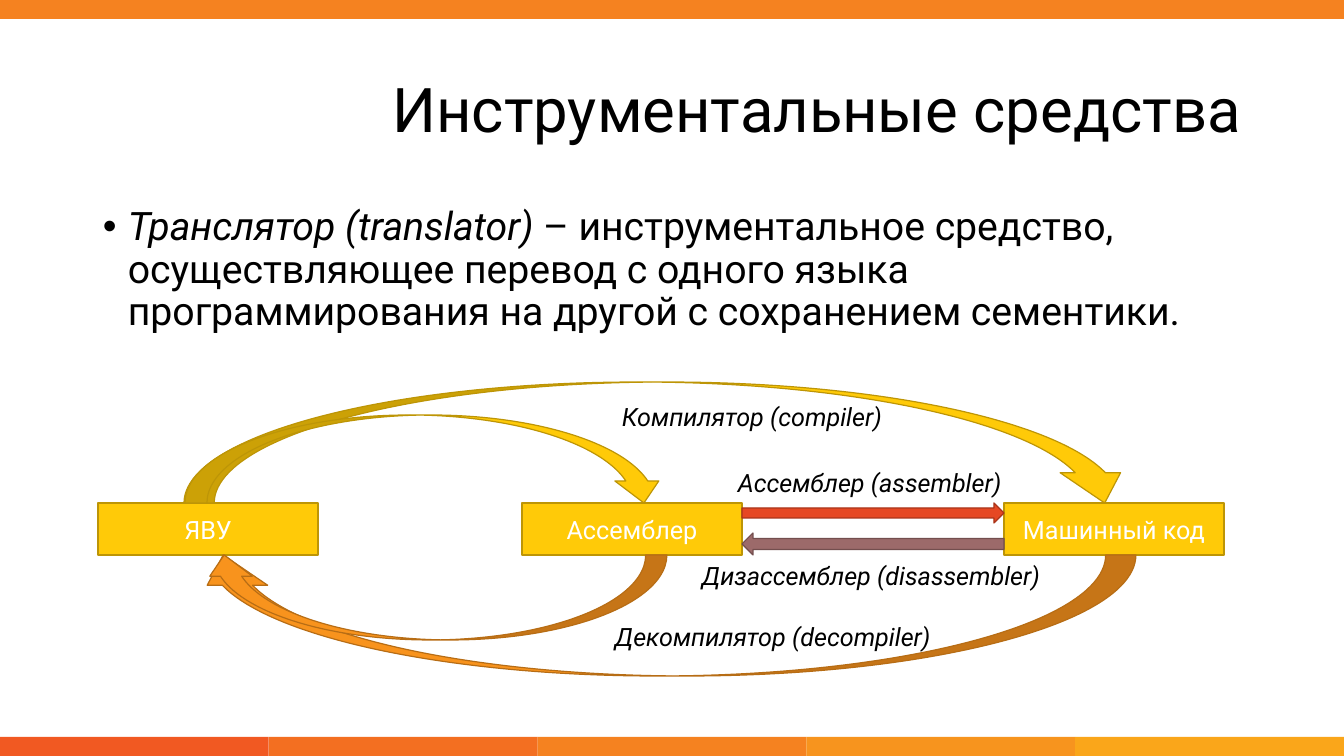
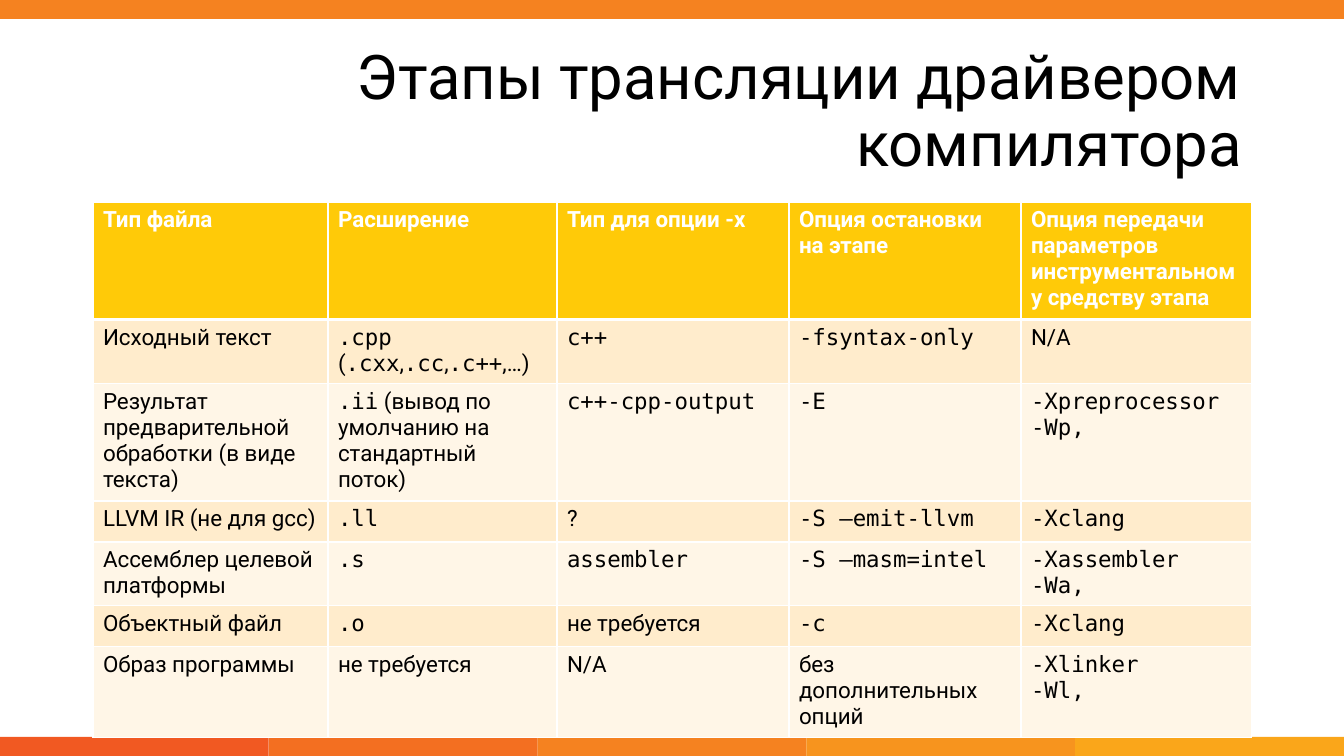
from lxml import etree
from pptx import Presentation
from pptx.dml.color import RGBColor
from pptx.enum.shapes import MSO_SHAPE as Shape
from pptx.enum.text import MSO_ANCHOR as Anchor, PP_ALIGN as Align
from pptx.oxml.ns import qn
from pptx.util import Emu, Pt

SLIDE_WIDTH, SLIDE_HEIGHT = 1344, 756
SCALE = 12192000 / SLIDE_WIDTH
SANS, MONO = "Roboto", "DejaVu Sans Mono"
COLORS = {
    "black": "000000", "white": "FFFFFF", "band": "F58220",
    "yellow": "FFCA08", "yellow_line": "BD9506",
    "orange": "F8931D", "orange_line": "B76D15",
    "red": "E64823", "red_line": "AA351A",
    "plum": "9C6A6A", "plum_line": "734E4E",
    "row_dark": "FFECCC", "row_light": "FFF6E7",
}
FOOTER_COLORS = ["F15922", "F36F21", "F58220", "F7941E", "FAA61A"]
BAND_HEIGHT = 19
TITLE_AREA = (93, 40, 1159, 146)
BODY_AREA = (93, 202, 1159, 516)

# Text between backticks takes the alternate format of its block.
TOOLS_TITLE = "Инструментальные средства"
DEFINITION = ("`Транслятор (translator)` – инструментальное средство, осуществляющее перевод "
              "с одного языка программирования на другой с сохранением сементики.")
BOX_TOP, BOX_WIDTH, BOX_HEIGHT = 503, 220, 52
LANGUAGES = [("ЯВУ", 98), ("Ассемблер", 522), ("Машинный код", 1004)]
ARROWS = [  # preset, area, colour, mirrored
    (Shape.CURVED_DOWN_ARROW, (184, 382, 951, 121), "yellow", False),
    (Shape.CURVED_DOWN_ARROW, (185, 415, 481, 88), "yellow", False),
    (Shape.CURVED_UP_ARROW, (193, 555, 943, 121), "orange", True),
    (Shape.CURVED_UP_ARROW, (203, 555, 464, 85), "orange", True),
    (Shape.RIGHT_ARROW, (742, 503, 262, 20), "red", False),
    (Shape.LEFT_ARROW, (742, 533, 262, 22), "plum", False),
]
TOOL_LABELS = [
    ("Компилятор (compiler)", (612, 396, 313, 40)),
    ("Декомпилятор (decompiler)", (605, 616, 355, 40)),
    ("Ассемблер (assembler)", (728, 462, 289, 40)),
    ("Дизассемблер (disassembler)", (692, 555, 368, 40)),
]

STAGES_TITLE = "Этапы трансляции драйвером компилятора"
COLUMN_WIDTHS = [235, 229, 232, 232, 231]
ROW_HEIGHT = 41
STAGES = [
    ["Тип файла", "Расширение", "Тип для опции -x", "Опция остановки на этапе",
     "Опция передачи параметров инструментальному средству этапа"],
    ["Исходный текст", "`.cpp` (`.cxx`,`.cc`,`.c++`,…)", "`c++`", "`-fsyntax-only`", "N/A"],
    ["Результат предварительной обработки (в виде текста)",
     "`.ii` (вывод по умолчанию на стандартный поток)",
     "`c++-cpp-output`", "`-E`", "`-Xpreprocessor`\n`-Wp,`"],
    ["LLVM IR (не для gcc)", "`.ll`", "?", "`-S –emit-llvm`", "`-Xclang`"],
    ["Ассемблер целевой платформы", "`.s`", "`assembler`", "`-S –masm=intel`",
     "`-Xassembler`\n`-Wa,`"],
    ["Объектный файл", "`.o`", "не требуется", "`-c`", "`-Xclang`"],
    ["Образ программы", "не требуется", "N/A", "без дополнительных опций",
     "`-Xlinker`\n`-Wl,`"],
]


def px(value):
    return Emu(round(value * SCALE))


def rgb(name):
    return RGBColor.from_string(COLORS.get(name, name))


def write(frame, text, *, size, color="black", bold=False, italic=False, align=Align.LEFT,
          anchor=Anchor.TOP, spacing=1.0, before=0, alternate=None):
    """Fill a text frame; newlines split paragraphs, backticks mark alternate runs."""
    frame.word_wrap = True
    frame.vertical_anchor = anchor
    for line_index, line in enumerate(text.split("\n")):
        paragraph = frame.add_paragraph() if line_index else frame.paragraphs[0]
        paragraph.alignment = align
        paragraph.line_spacing = spacing
        paragraph.space_before = Pt(before)
        for part_index, part in enumerate(line.split("`")):
            if not part:
                continue
            run = paragraph.add_run()
            run.text = part
            font = run.font
            font.name, font.size, font.bold, font.italic = SANS, Pt(size), bold, italic
            font.color.rgb = rgb(color)
            if part_index % 2:
                for attribute, value in alternate.items():
                    setattr(font, attribute, value)


def add_text(slide, text, area, **text_format):
    text_box = slide.shapes.add_textbox(*map(px, area))
    write(text_box.text_frame, text, **text_format)
    return text_box


def add_shape(slide, preset, area, fill, line=None):
    shape = slide.shapes.add_shape(preset, *map(px, area))
    shape.shadow.inherit = False
    shape.fill.solid()
    shape.fill.fore_color.rgb = rgb(fill)
    if line:
        shape.line.color.rgb = rgb(line)
        shape.line.width = Pt(0.85)
    else:
        shape.line.fill.background()
    return shape


def add_bullet(paragraph, indent):
    properties = paragraph._p.get_or_add_pPr()
    properties.set("marL", str(indent))
    properties.set("indent", str(-indent))
    etree.SubElement(properties, qn("a:buFont")).set("typeface", "Arial")
    etree.SubElement(properties, qn("a:buChar")).set("char", "•")


def set_borders(cell, **widths):
    """Draw white borders; widths are points keyed by side: L, R, T, B."""
    properties = cell._tc.get_or_add_tcPr()
    for index, (side, width) in enumerate(widths.items()):
        line = etree.Element(qn(f"a:ln{side}"), w=str(Pt(width)))
        fill = etree.SubElement(line, qn("a:solidFill"))
        etree.SubElement(fill, qn("a:srgbClr")).set("val", COLORS["white"])
        properties.insert(index, line)


def add_base_slide(presentation, title):
    """Add a blank slide with the shared bands and title."""
    slide = presentation.slides.add_slide(presentation.slide_layouts[6])
    add_shape(slide, Shape.RECTANGLE, (0, 0, SLIDE_WIDTH, BAND_HEIGHT), "band")
    width = SLIDE_WIDTH / len(FOOTER_COLORS)
    for index, color in enumerate(FOOTER_COLORS):
        area = (index * width, SLIDE_HEIGHT - BAND_HEIGHT, width, BAND_HEIGHT)
        add_shape(slide, Shape.RECTANGLE, area, color)
    add_text(slide, title, TITLE_AREA, size=44, align=Align.RIGHT,
             anchor=Anchor.MIDDLE, spacing=0.9)
    return slide


def add_tools_slide(presentation):
    slide = add_base_slide(presentation, TOOLS_TITLE)
    body = add_text(slide, DEFINITION, BODY_AREA, size=28, spacing=0.9, before=10,
                    alternate={"italic": True})
    add_bullet(body.text_frame.paragraphs[0], px(25))
    for name, left in LANGUAGES:
        box = add_shape(slide, Shape.RECTANGLE, (left, BOX_TOP, BOX_WIDTH, BOX_HEIGHT),
                        "yellow", "yellow_line")
        write(box.text_frame, name, size=18, color="white", align=Align.CENTER,
              anchor=Anchor.MIDDLE)
    for preset, area, color, mirrored in ARROWS:
        arrow = add_shape(slide, preset, area, color, f"{color}_line")
        if mirrored:
            arrow.element.spPr.find(qn("a:xfrm")).set("flipH", "1")
    for label, area in TOOL_LABELS:
        add_text(slide, label, area, size=18, italic=True)


def add_stages_slide(presentation):
    slide = add_base_slide(presentation, STAGES_TITLE)
    left, top, width, _ = BODY_AREA
    area = (left, top, width, ROW_HEIGHT * len(STAGES))
    table = slide.shapes.add_table(len(STAGES), len(COLUMN_WIDTHS), *map(px, area)).table
    table.horz_banding = False
    for column, column_width in zip(table.columns, COLUMN_WIDTHS):
        column.width = px(column_width)
    for row_index, texts in enumerate(STAGES):
        header = row_index == 0
        fill = "yellow" if header else ("row_light", "row_dark")[row_index % 2]
        for column_index, text in enumerate(texts):
            cell = table.cell(row_index, column_index)
            cell.fill.solid()
            cell.fill.fore_color.rgb = rgb(fill)
            set_borders(cell, L=1, R=1, T=3 if row_index == 1 else 1, B=3 if header else 1)
            write(cell.text_frame, text, size=16, bold=header,
                  color="white" if header else "black", alternate={"name": MONO})


def main():
    presentation = Presentation()
    presentation.slide_width = px(SLIDE_WIDTH)
    presentation.slide_height = px(SLIDE_HEIGHT)
    add_tools_slide(presentation)
    add_stages_slide(presentation)
    presentation.save("out.pptx")


if __name__ == "__main__":
    main()
